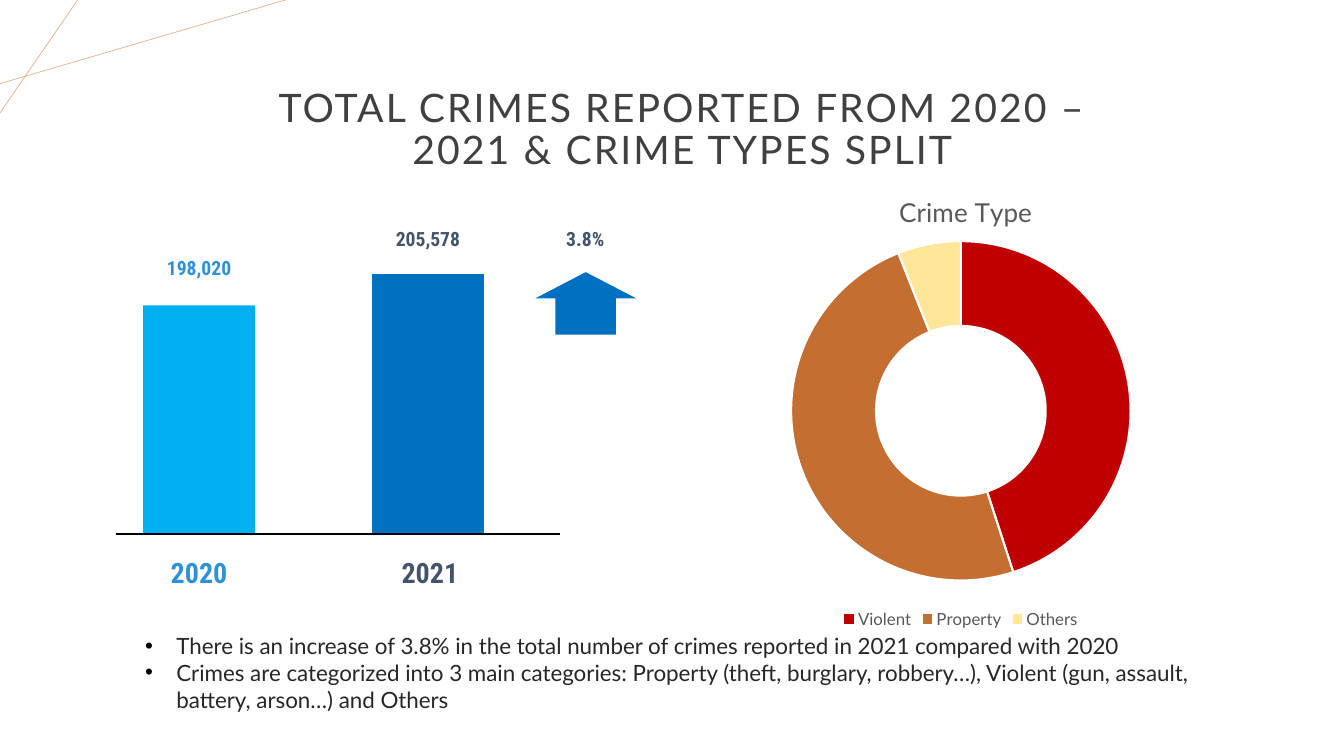
import pptx
import pptx.chart.data
import pptx.dml.color
import pptx.enum.chart
import pptx.enum.shapes
import pptx.enum.text
import pptx.oxml.ns
import pptx.oxml.xmlchemy
import pptx.util

COLORS = {
    "decoration": "E2B18D", "black": "000000", "title": "404040", "body": "272727",
    "chart_text": "595959", "label_2020": "2F91D6", "label_2021": "44546A",
    "bar_2020": "00B0F0", "bar_2021": "0070C0", "white": "FFFFFF",
    "Violent": "C00000", "Property": "C46E31", "Others": "FFE699",
}
CRIME_SHARES = {"Violent": 45, "Property": 49, "Others": 6}
FINDINGS = [
    "There is an increase of 3.8% in the total number of crimes reported in 2021 compared with 2020",
    "Crimes are categorized into 3 main categories: Property (theft, burglary, robbery…), "
    "Violent (gun, assault, battery, arson…) and Others",
]
BODY_FONT, LABEL_FONT = "Lato", "Roboto Condensed"
BASELINE = 5.3
BAR_WIDTH = 1.11
LABEL_HEIGHT = 0.57


def rgb(name):
    return pptx.dml.color.RGBColor.from_string(COLORS[name])


def inches(*lengths):
    return [pptx.util.Inches(length) for length in lengths]


def new_element(tag, **attributes):
    element = pptx.oxml.xmlchemy.OxmlElement(tag)
    for name, value in attributes.items():
        element.set(name, str(value))
    return element


def style_font(font, size, color, name=BODY_FONT, bold=False):
    font.size = pptx.util.Pt(size)
    font.name = name
    font.bold = bold
    font.color.rgb = rgb(color)


def fill_shape(shape, color):
    shape.shadow.inherit = False
    shape.fill.solid()
    shape.fill.fore_color.rgb = rgb(color)
    shape.line.fill.background()


def add_line(slide, start, end, color, width):
    line = slide.shapes.add_connector(
        pptx.enum.shapes.MSO_CONNECTOR.STRAIGHT, *inches(*start, *end))
    line.line.color.rgb = rgb(color)
    line.line.width = pptx.util.Pt(width)
    line._element.spPr.append(new_element("a:effectLst"))


def add_text_frame(slide, left, top, width, height, anchor="MIDDLE"):
    frame = slide.shapes.add_textbox(*inches(left, top, width, height)).text_frame
    frame.word_wrap = True
    frame.vertical_anchor = pptx.enum.text.MSO_ANCHOR[anchor]
    return frame


def add_centered_text(slide, text, box, size, color, font_name=BODY_FONT, bold=False):
    paragraph = add_text_frame(slide, *box).paragraphs[0]
    paragraph.alignment = pptx.enum.text.PP_ALIGN.CENTER
    run = paragraph.add_run()
    run.text = text
    style_font(run.font, size, color, font_name, bold)
    return paragraph


def add_label(slide, text, left, top, size, color):
    add_centered_text(slide, text, (left, top, BAR_WIDTH, LABEL_HEIGHT),
                      size, color, LABEL_FONT, True)


def add_title(slide):
    title = add_centered_text(slide, "TOTAL CRIMES REPORTED FROM 2020 – 2021 & CRIME TYPES SPLIT",
                              (2.33, 0.57, 8.88, 1.45), 28, "title")
    title.line_spacing = 0.9
    title.runs[0].font._element.set("spc", "150")


def add_bar(slide, left, top, color):
    bar = slide.shapes.add_shape(
        pptx.enum.shapes.MSO_SHAPE.RECTANGLE,
        *inches(left, top, BAR_WIDTH, BASELINE - top))
    fill_shape(bar, color)


def add_increase_arrow(slide):
    center, tip, shoulder, foot = 5.81, 2.7, 2.96, 3.32
    half_head, half_stem = 0.5, 0.3
    right_side = [(half_head, shoulder), (half_stem, shoulder), (half_stem, foot)]
    outline = [(center + dx, y) for dx, y in right_side]
    outline += [(center - dx, y) for dx, y in reversed(right_side)]
    builder = slide.shapes.build_freeform(*inches(center, tip))
    builder.add_line_segments([inches(*point) for point in outline], close=True)
    fill_shape(builder.convert_to_shape(), "bar_2021")


def add_findings(slide):
    frame = add_text_frame(slide, 1.31, 6.27, 10.79, 1.04, "TOP")
    frame.margin_left = frame.margin_right = pptx.util.Inches(0.13)
    frame.margin_top = frame.margin_bottom = 0
    indent = pptx.util.Inches(0.31)
    for index, finding in enumerate(FINDINGS):
        paragraph = frame.add_paragraph() if index else frame.paragraphs[0]
        run = paragraph.add_run()
        run.text = finding
        style_font(run.font, 16, "body")
        properties = paragraph._p.get_or_add_pPr()
        properties.set("marL", str(int(indent)))
        properties.set("indent", str(-int(indent)))
        bullet_color = new_element("a:buClr")
        bullet_color.append(new_element("a:srgbClr", val=COLORS["black"]))
        properties.extend([bullet_color, new_element("a:buFont", typeface="Arial"),
                           new_element("a:buChar", char="•")])


def place_chart_part(part, index, **settings):
    """Give a chart part a manual layout, inserted as its child number index."""
    for old_layout in part.findall(pptx.oxml.ns.qn("c:layout")):
        part.remove(old_layout)
    layout = new_element("c:layout")
    manual = new_element("c:manualLayout")
    layout.append(manual)
    for tag, value in settings.items():
        manual.append(new_element("c:" + tag, val=value))
    part.insert(index, layout)


def add_crime_type_chart(slide):
    shares = pptx.chart.data.CategoryChartData()
    shares.categories = list(CRIME_SHARES)
    shares.add_series("Series 1", list(CRIME_SHARES.values()))
    chart = slide.shapes.add_chart(
        pptx.enum.chart.XL_CHART_TYPE.DOUGHNUT,
        *inches(5.87, 1.64, 7.32, 4.64), shares).chart
    style_font(chart.font, 10, "black")

    chart.has_title = True
    heading = chart.chart_title.text_frame.paragraphs[0].add_run()
    heading.text = "Crime Type"
    style_font(heading.font, 18.6, "chart_text")
    place_chart_part(chart.chart_title._element, 1, xMode="edge", yMode="edge", x=0.41, y=0.05)

    chart.has_legend = True
    chart.legend.position = pptx.enum.chart.XL_LEGEND_POSITION.BOTTOM
    chart.legend.include_in_layout = False
    style_font(chart.legend.font, 12, "chart_text")

    ring = chart.plots[0]
    ring.vary_by_categories = True
    ring._element.find(pptx.oxml.ns.qn("c:holeSize")).set("val", "75")
    for index, crime_type in enumerate(CRIME_SHARES):
        segment = ring.series[0].points[index].format
        segment.fill.solid()
        segment.fill.fore_color.rgb = rgb(crime_type)
        segment.line.color.rgb = rgb("white")
        segment.line.width = pptx.util.Pt(1.5)
    place_chart_part(ring._element.getparent(), 0, layoutTarget="inner", xMode="edge",
                     yMode="edge", x=0.27, y=0.16, w=0.46, h=0.73)


def main():
    presentation = pptx.Presentation()
    presentation.slide_width, presentation.slide_height = inches(13.33, 7.5)
    slide = presentation.slides.add_slide(presentation.slide_layouts[6])

    add_line(slide, (0, 0.83), (2.83, 0), "decoration", 0.5)
    add_line(slide, (0.77, 0), (0, 1.12), "decoration", 0.5)
    add_findings(slide)
    for year, total, left, top, year_left, total_top in [
        ("2020", "198,020", 1.42, 3.03, 1.42, 2.37),
        ("2021", "205,578", 3.69, 2.72, 3.71, 2.08),
    ]:
        add_bar(slide, left, top, "bar_" + year)
        add_label(slide, year, year_left, 5.39, 20, "label_" + year)
        add_label(slide, total, left, total_top, 14, "label_" + year)
    add_line(slide, (1.15, BASELINE), (5.55, BASELINE), "black", 1.5)
    add_increase_arrow(slide)
    add_label(slide, "3.8%", 5.25, 2.08, 14, "label_2021")
    add_crime_type_chart(slide)
    add_title(slide)
    presentation.save("out.pptx")


if __name__ == "__main__":
    main()
